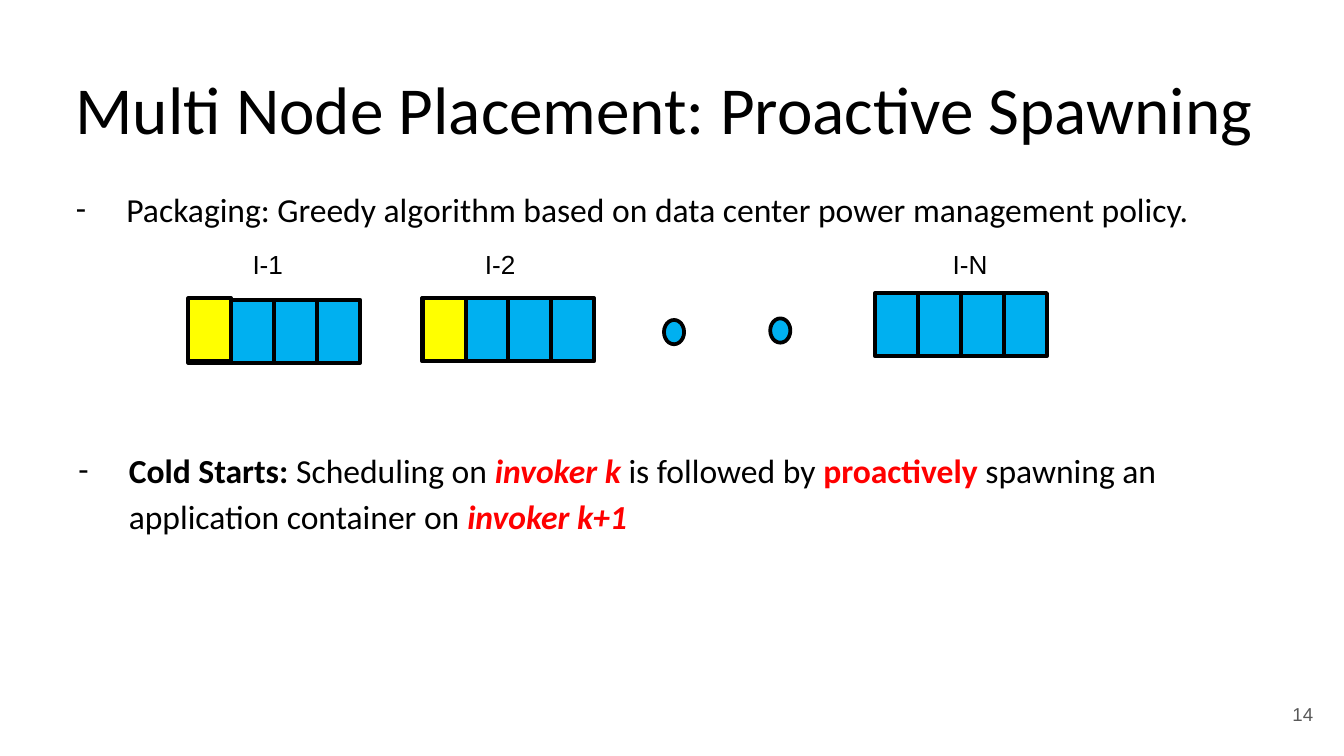
from lxml import etree
from pptx import Presentation
from pptx.dml.color import RGBColor
from pptx.enum.shapes import MSO_SHAPE
from pptx.enum.text import MSO_ANCHOR, MSO_AUTO_SIZE, PP_ALIGN
from pptx.oxml.ns import qn
from pptx.util import Pt

RECT, OVAL = MSO_SHAPE.RECTANGLE, MSO_SHAPE.OVAL
TOP, MIDDLE = MSO_ANCHOR.TOP, MSO_ANCHOR.MIDDLE
LEFT, CENTER, RIGHT = PP_ALIGN.LEFT, PP_ALIGN.CENTER, PP_ALIGN.RIGHT
NO_FIT, GROW = MSO_AUTO_SIZE.NONE, MSO_AUTO_SIZE.SHAPE_TO_FIT_TEXT
BLACK, RED, BLUE, YELLOW, GREY = "000000", "FF0000", "00B0F0", "FFFF00", "595959"
CELL_W, CELL_H = 23.04, 33.84


def rgb(value):
    """Turn a hex string into a colour."""
    return RGBColor.from_string(value)


def place(sp, box):
    """Move a shape to a box given in points."""
    sp.left, sp.top, sp.width, sp.height = (Pt(v) for v in box)


def frame(sp, anchor=TOP, inset=7.2):
    """Prepare a wrapping text frame and return its first paragraph."""
    tf = sp.text_frame
    tf.word_wrap = True
    tf.auto_size = NO_FIT
    tf.vertical_anchor = anchor
    tf.margin_left = tf.margin_right = Pt(7.2)
    tf.margin_top = tf.margin_bottom = Pt(inset)
    p = tf.paragraphs[0]
    p.space_before = Pt(0)
    return p


def add_run(p, text, size, font="Calibri", color=BLACK, bold=False, italic=False):
    """Add one formatted run to a paragraph."""
    r = p.add_run()
    r.text = text
    r.font.name, r.font.size = font, Pt(size)
    r.font.bold, r.font.italic = bold, italic
    r.font.color.rgb = rgb(color)


def add_title(sp, box, text):
    """Fill the title placeholder."""
    place(sp, box)
    p = frame(sp)
    p.alignment = CENTER
    add_run(p, text, 36)


def add_point(sp, box, runs):
    """Fill a shape with one dashed list item made of (text, style) runs."""
    place(sp, box)
    p = frame(sp)
    p.alignment, p.line_spacing = LEFT, 1.15
    pPr = p._p.get_or_add_pPr()
    pPr.set("marL", str(Pt(36)))
    pPr.set("indent", str(Pt(-27)))
    color = etree.SubElement(pPr, qn("a:buClr"))
    etree.SubElement(color, qn("a:srgbClr"), val=BLACK)
    etree.SubElement(pPr, qn("a:buFont"), typeface="Calibri")
    etree.SubElement(pPr, qn("a:buChar"), char="-")
    for text, style in runs:
        add_run(p, text, 18, **style)


def add_block(s, kind, box, fill):
    """Add a filled shape with a black outline."""
    sp = s.shapes.add_shape(kind, *(Pt(v) for v in box))
    sp.shadow.inherit = False
    sp.fill.solid()
    sp.fill.fore_color.rgb = rgb(fill)
    sp.line.color.rgb = rgb(BLACK)
    sp.line.width = Pt(2)


def add_label(s, box, text):
    """Add an invoker name that grows with its text."""
    sp = s.shapes.add_textbox(*(Pt(v) for v in box))
    p = frame(sp, inset=3.6)
    sp.text_frame.word_wrap = False
    sp.text_frame.auto_size = GROW
    add_run(p, text, 14, "Arial")


def add_invoker(s, left, top, label, label_box, used=None):
    """Add an invoker of four slots, with a marked slot at used if given."""
    for i in range(4):
        add_block(s, RECT, (left + i * CELL_W, top, CELL_W, CELL_H), BLUE)
    if used:
        add_block(s, RECT, (*used, CELL_W, CELL_H), YELLOW)
    add_label(s, label_box, label)


def add_number(s, box, text):
    """Add the slide number."""
    p = frame(s.shapes.add_textbox(*(Pt(v) for v in box)), MIDDLE)
    p.alignment = RIGHT
    add_run(p, text, 10, "Arial", GREY)


def main():
    """Build the slide and save it."""
    prs = Presentation()
    prs.slide_width, prs.slide_height = Pt(720), Pt(405)
    s = prs.slides.add_slide(prs.slide_layouts[1])
    title, body = s.placeholders
    key = {"color": RED, "bold": True, "italic": True}
    add_title(title, (24.5, 28.8, 671, 45.4), "Multi Node Placement: Proactive Spawning ")
    add_point(body, (24.5, 90.7, 671, 45.4), [
        ("Packaging: Greedy algorithm based on data center power management policy.", {}),
    ])
    add_point(s.shapes.add_textbox(0, 0, 0, 0), (25.9, 230.4, 671, 45.4), [
        ("Cold Starts: ", {"bold": True}),
        ("Scheduling on ", {}),
        ("invoker k", key),
        (" is followed by ", {}),
        ("proactively", {"color": RED, "bold": True}),
        (" spawning an application container on ", {}),
        ("invoker k+1", key),
    ])
    add_invoker(s, 100.8, 160.6, "I-1", (128.2, 129.6, 31, 24.5), (100.8, 159.8))
    add_invoker(s, 226.1, 159.8, "I-2", (252.7, 129.6, 31, 24.5), (226.8, 159.8))
    add_invoker(s, 468.7, 157, "I-N", (503.3, 129.6, 33.1, 24.5))
    for left, top in ((355.7, 171.4), (412.6, 170.6)):
        add_block(s, OVAL, (left, top, 10.8, 13), BLUE)
    add_number(s, (667.4, 367.2, 43.2, 31), "14")
    prs.save("out.pptx")


if __name__ == "__main__":
    main()
